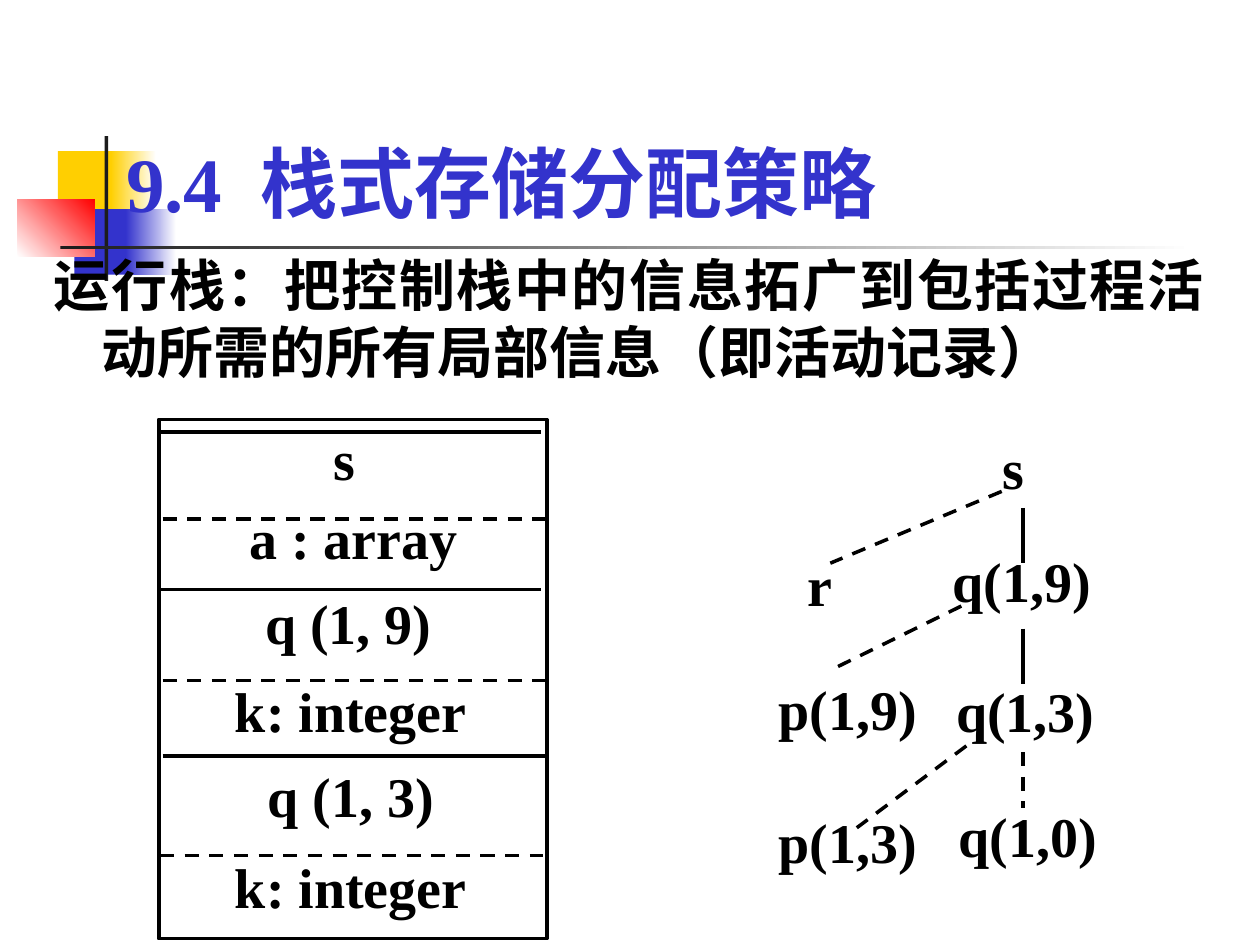
from pptx import Presentation
from pptx.dml.color import RGBColor
from pptx.enum.dml import MSO_LINE
from pptx.enum.shapes import MSO_CONNECTOR, MSO_SHAPE
from pptx.enum.text import MSO_ANCHOR, MSO_AUTO_SIZE, PP_ALIGN
from pptx.oxml.ns import qn
from pptx.util import Inches, Pt

RECTANGLE = MSO_SHAPE.RECTANGLE
STRAIGHT = MSO_CONNECTOR.STRAIGHT
DASH = MSO_LINE.DASH
LEFT, CENTER, JUSTIFY = PP_ALIGN.LEFT, PP_ALIGN.CENTER, PP_ALIGN.JUSTIFY
TOP, BOTTOM = MSO_ANCHOR.TOP, MSO_ANCHOR.BOTTOM
NO_FIT = MSO_AUTO_SIZE.NONE

BLACK = RGBColor(0x00, 0x00, 0x00)
WHITE = RGBColor(0xFF, 0xFF, 0xFF)
YELLOW = RGBColor(0xFF, 0xCF, 0x01)
BLUE = RGBColor(0x33, 0x33, 0xCC)
RED = RGBColor(0xFF, 0x00, 0x00)
CHARCOAL = RGBColor(0x1C, 0x1C, 0x1C)

COLUMNS = 100


class SlideBuilder:
    font_name = "Times New Roman"
    title_size = Pt(44)
    text_size = Pt(32)
    line_width = Pt(2)

    def __init__(self, presentation):
        self.slide = presentation.slides.add_slide(presentation.slide_layouts[5])
        self.shapes = self.slide.shapes
        self.cell = presentation.slide_width / COLUMNS

    def grid(self, *lengths):
        return [round(length * self.cell) for length in lengths]

    def set_text(self, frame, text, size, color, align, anchor=TOP):
        frame.word_wrap = True
        frame.auto_size = NO_FIT
        frame.vertical_anchor = anchor
        frame.text = text
        paragraph = frame.paragraphs[0]
        paragraph.alignment = align
        for run in paragraph.runs:
            run.font.name = self.font_name
            run.font.size = size
            run.font.bold = True
            run.font.color.rgb = color
        return paragraph

    def title(self, text, box):
        heading = self.shapes.title
        heading.left, heading.top, heading.width, heading.height = self.grid(*box)
        self.set_text(heading.text_frame, text, self.title_size, BLUE, LEFT, BOTTOM)
        heading.element.getparent().append(heading.element)

    def label(self, text, box, align=LEFT, top_inset=0.05):
        frame = self.shapes.add_textbox(*self.grid(*box)).text_frame
        frame.margin_top = Inches(top_inset)
        return self.set_text(frame, text, self.text_size, BLACK, align)

    def block(self, box, start, end=None, angle=0):
        block = self.shapes.add_shape(RECTANGLE, *self.grid(*box))
        block.shadow.inherit = False
        block.line.fill.background()
        if end is None:
            block.fill.solid()
            block.fill.fore_color.rgb = start
            return
        block.fill.gradient()
        block.fill.gradient_angle = angle
        for stop, color in zip(block.fill.gradient_stops, (start, end)):
            stop.color.rgb = color

    def outline(self, box):
        outline = self.shapes.add_shape(RECTANGLE, *self.grid(*box))
        outline.shadow.inherit = False
        outline.fill.background()
        outline.line.color.rgb = BLACK
        outline.line.width = self.line_width

    def line(self, x1, y1, x2, y2, dashed=False):
        line = self.shapes.add_connector(STRAIGHT, *self.grid(x1, y1, x2, y2))
        properties = line.element.spPr
        line.line.color.rgb = BLACK
        line.line.width = self.line_width
        if dashed:
            line.line.dash_style = DASH
        properties.append(properties.makeelement(qn("a:effectLst"), {}))


def main():
    presentation = Presentation()
    presentation.slide_width, presentation.slide_height = Inches(10), Inches(7.5)
    builder = SlideBuilder(presentation)

    builder.block((4.6, 12, 4.8, 5.2), YELLOW)
    builder.block((8.8, 12, 3.6, 5.2), YELLOW, WHITE)
    builder.block((5.9, 16.6, 4.6, 5.2), BLUE)
    builder.block((10, 16.6, 4, 5.2), BLUE, WHITE)
    builder.block((1.4, 15.8, 6.1, 4.6), WHITE, RED, angle=45)
    builder.block((8.3, 10.8, 0.3, 11.5), CHARCOAL)
    builder.block((4.8, 19.5, 90, 0.3), CHARCOAL, WHITE)

    builder.title("9.4  栈式存储分配策略", (9, 6.1, 82.2, 12.5))
    definition = builder.label(
        "运行栈：把控制栈中的信息拓广到包括过程活动所需的所有局部信息（即活动记录）",
        (3.3, 19.4, 93.3, 13), JUSTIFY)
    indent = Inches(0.38)
    definition_format = definition._p.get_or_add_pPr()
    definition_format.set("marL", str(indent))
    definition_format.set("indent", str(-indent))

    builder.outline((12.6, 33.3, 30.8, 41.2))
    stack_entries = [
        ("s", 12.7, 32.8), ("a : array", 13.4, 39.1),
        ("q (1, 9)", 13, 45.8), ("k: integer", 13.2, 52.8),
        ("q (1, 3)", 13.2, 59.5), ("k: integer", 13.2, 66.8),
    ]
    for entry, left, top in stack_entries:
        builder.label(entry, (left, top, 29.3, 7.7), CENTER, 0.09)
    stack_dividers = [
        (12.5, 34.3, False), (12.9, 41.2, True), (12.5, 46.8, False),
        (12.9, 54, True), (12.9, 60, False), (12.7, 67.9, True),
    ]
    for left, top, dashed in stack_dividers:
        builder.line(left, top, left + 30.4, top, dashed)

    calls = [
        ("s", 78.6, 33.9), ("r", 63.1, 43.2), ("q(1,9)", 74.6, 42.9),
        ("p(1,9)", 60.8, 53), ("q(1,3)", 74.9, 53.2),
        ("p(1,3)", 60.8, 63.6), ("q(1,0)", 75.1, 63.1),
    ]
    for call, left, top in calls:
        builder.label(call, (left, top, 14.1, 7.8))
    for top, dashed in [(40.3, False), (49.9, False), (59.7, True)]:
        builder.line(81.2, top, 81.2, top + 4.4, dashed)
    finished_calls = [
        (79.5, 39, 65.9, 44.7), (76.3, 48.1, 65.9, 53.2), (76.7, 59.2, 68, 65.7),
    ]
    for branch in finished_calls:
        builder.line(*branch, dashed=True)

    presentation.save("out.pptx")


if __name__ == "__main__":
    main()
